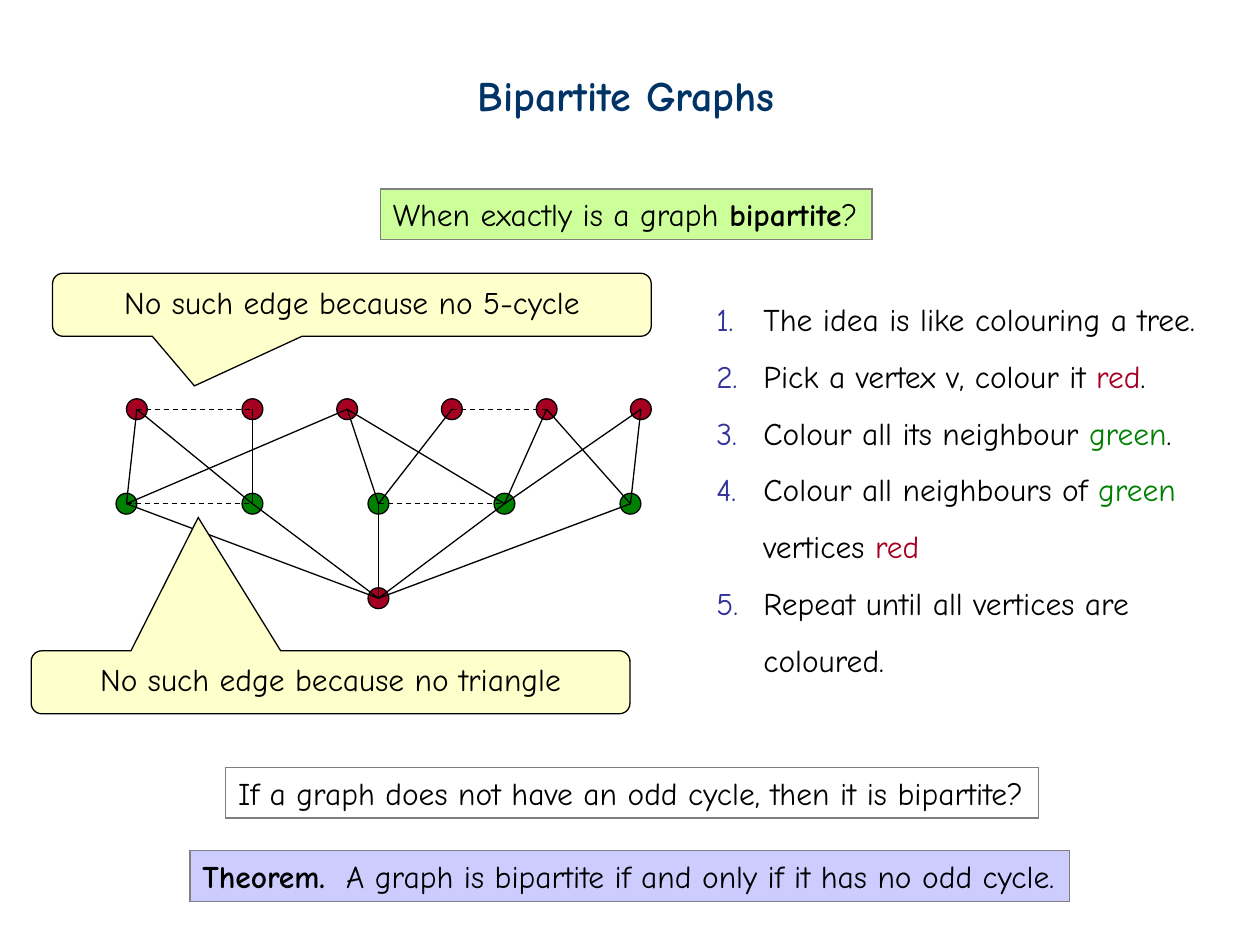
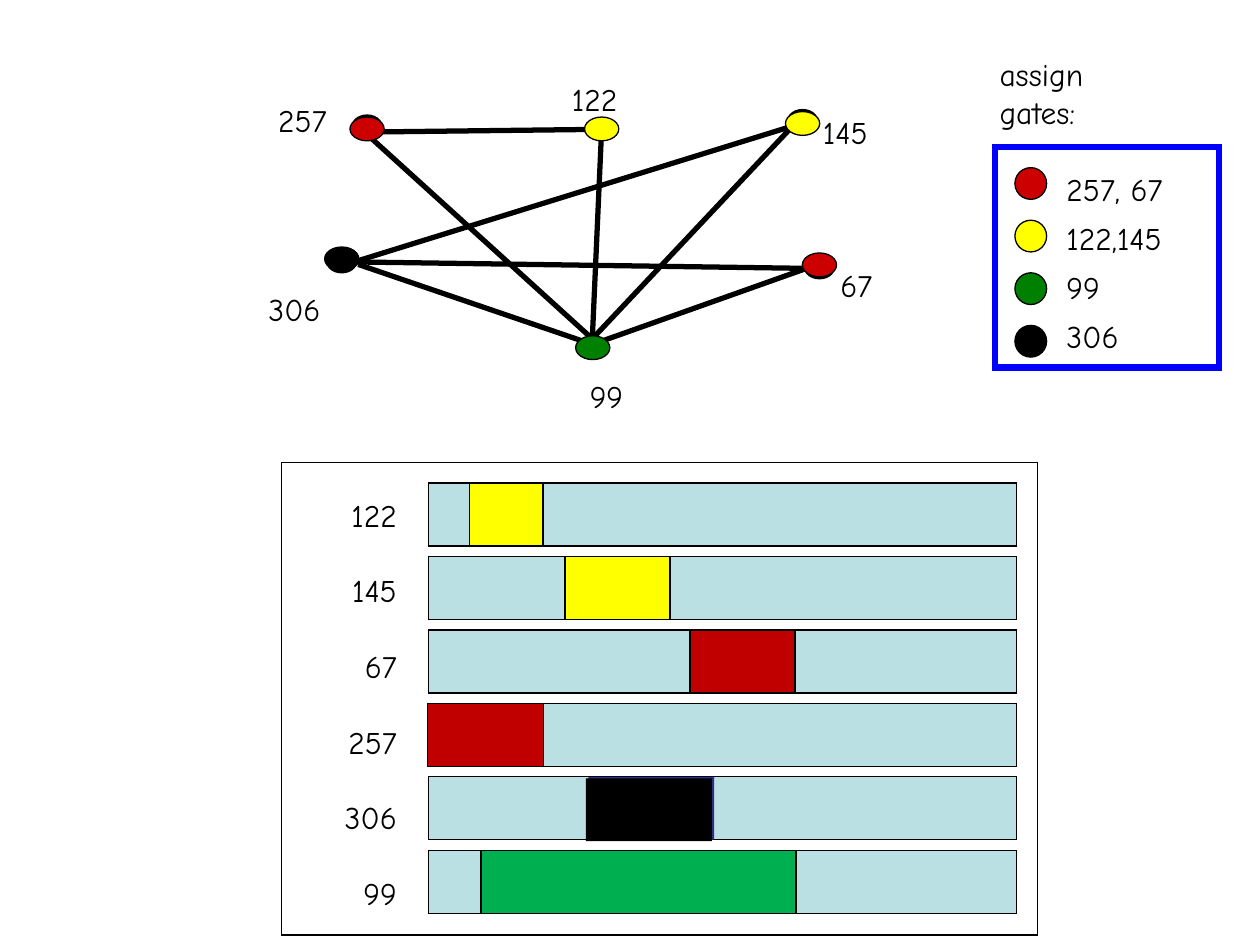
from itertools import product

from lxml import etree
from pptx import Presentation
from pptx.dml.color import RGBColor
from pptx.enum.dml import MSO_LINE
from pptx.enum.shapes import MSO_CONNECTOR, MSO_SHAPE
from pptx.enum.text import MSO_ANCHOR, PP_ALIGN
from pptx.oxml.ns import qn
from pptx.util import Cm, Pt

RECTANGLE = MSO_SHAPE.RECTANGLE
ELLIPSE = MSO_SHAPE.OVAL
CALLOUT = MSO_SHAPE.ROUNDED_RECTANGULAR_CALLOUT
STRAIGHT = MSO_CONNECTOR.STRAIGHT
DASH = MSO_LINE.DASH
TOP = MSO_ANCHOR.TOP
LEFT, CENTER, RIGHT = PP_ALIGN.LEFT, PP_ALIGN.CENTER, PP_ALIGN.RIGHT

BLACK, GREY, NAVY, INDIGO = "000000", "808080", "003366", "333399"
CRIMSON, GREEN, RED, YELLOW = "A50021", "008000", "CC0000", "FFFF00"
BLUE, CREAM, LIME, LAVENDER = "0000FF", "FFFFCC", "CCFF99", "CCCCFF"
BAR_BLUE, SLOT_RED, SLOT_GREEN, SLOT_BLUE = "BBE0E3", "C00000", "00B050", "2D2D8A"

BODY_FONT = {"name": "Comic Neue", "size": Pt(18), "bold": False}
LINE_PITCH = Pt(21.6)


def color(value):
    return RGBColor.from_string(value)


def apply(target, values):
    for name, value in values.items():
        setattr(target, name, value)


def add_box(slide, kind, box, fill=None, line=BLACK, weight=0.75):
    shape = slide.shapes.add_shape(kind, *map(Cm, box))
    shape.shadow.inherit = False
    if fill:
        shape.fill.solid()
        shape.fill.fore_color.rgb = color(fill)
    else:
        shape.fill.background()
    if line:
        shape.line.color.rgb = color(line)
        shape.line.width = Pt(weight)
        outline = shape._element.spPr.find(qn("a:ln"))
        etree.SubElement(outline, qn("a:miter"), lim="800000")
    else:
        shape.line.fill.background()
    return shape


def add_dot(slide, x, y, width, height, fill, weight=0.75):
    box = (x - width / 2, y - height / 2, width, height)
    add_box(slide, ELLIPSE, box, fill, weight=weight)


def add_edge(slide, start, end, weight=0.75, dash=None):
    edge = slide.shapes.add_connector(STRAIGHT, *map(Cm, (*start, *end)))
    edge.line.color.rgb = color(BLACK)
    edge.line.width = Pt(weight)
    if dash:
        edge.line.dash_style = dash
    etree.SubElement(edge._element.spPr, qn("a:effectLst"))


def write(shape, paragraphs, wrap=False, font=None, later=None, **paragraph_format):
    frame = shape.text_frame
    apply(frame, {"word_wrap": wrap, "vertical_anchor": TOP})
    for index, runs in enumerate(paragraphs):
        paragraph = frame.add_paragraph() if index else frame.paragraphs[0]
        apply(paragraph, {"alignment": LEFT, **paragraph_format})
        if index:
            apply(paragraph, later or {})
        for text, tint, bold in runs:
            run = paragraph.add_run()
            run.text = text
            apply(run.font, {**BODY_FONT, "bold": bold, **(font or {})})
            run.font.color.rgb = color(tint)
    return frame


def plain(text, tint=BLACK, bold=False):
    return (text, tint, bold)


def add_text(slide, box, paragraphs, **options):
    return write(slide.shapes.add_textbox(*map(Cm, box)), paragraphs, **options)


def add_title(slide, box, text):
    add_text(slide, box, [[plain(text, NAVY, True)]], font={"size": Pt(24)})


def add_statement(slide, box, fill, runs):
    return write(add_box(slide, RECTANGLE, box, fill, GREY), [runs])


def add_callout(slide, box, text, tip):
    callout = add_box(slide, CALLOUT, box, CREAM)
    for index, value in enumerate((*tip, 0.167)):
        callout.adjustments[index] = value
    write(callout, [[plain(text)]], wrap=True, alignment=CENTER)


def add_bipartite_graph(slide, box):
    left, top, width, height = box
    row_columns = {
        "upper": (0, CRIMSON, (0.21, 2.54, 4.45, 6.56, 8.47, 10.37)),
        "middle": (0.5, GREEN, [width * step / 4 for step in range(5)]),
        "root": (1, CRIMSON, (width / 2,)),
    }
    vertices = {}
    for row, (depth, tint, columns) in row_columns.items():
        vertices[row] = [(left + x, top + height * depth) for x in columns]
        for x, y in vertices[row]:
            add_dot(slide, x, y, 0.42, 0.42, tint)
    upper, middle, root = vertices.values()
    for vertex in middle:
        add_edge(slide, vertex, root[0])
    neighbours = ((0, 2), (0, 1), (2, 3), (2, 4, 5), (4, 5))
    for vertex, reached in zip(middle, neighbours):
        for index in reached:
            add_edge(slide, vertex, upper[index])
    for row, start in product((upper, middle), (0, 2)):
        first = 3 if row is upper and start else start
        add_edge(slide, row[first], row[first + 1], dash=DASH)


def number_paragraphs(frame, indent):
    for paragraph in frame.paragraphs:
        properties = paragraph._p.get_or_add_pPr()
        properties.set("marL", str(Cm(indent)))
        properties.set("indent", str(-Cm(indent)))
        tint = etree.SubElement(properties, qn("a:buClr"))
        etree.SubElement(tint, qn("a:srgbClr"), val=INDIGO)
        etree.SubElement(properties, qn("a:buAutoNum"), type="arabicPeriod")


def add_colouring_steps(slide, box):
    red, green = plain("red", CRIMSON), plain("green", GREEN)
    steps = [
        [plain("The idea is like colouring a tree.")],
        [plain("Pick a vertex v, colour it "), red, plain(".")],
        [plain("Colour all its neighbour "), green, plain(".")],
        [plain("Colour all neighbours of "), green, plain(" vertices "), red],
        [plain("Repeat until all vertices are coloured.")],
    ]
    frame = add_text(slide, box, steps, wrap=True, later={"line_spacing": 1.5})
    number_paragraphs(frame, 0.95)


def add_theorem(slide, box):
    runs = [plain("Theorem.", bold=True),
            plain("\tA graph is bipartite if and only if it has no odd cycle.")]
    frame = add_statement(slide, box, LAVENDER, runs)
    properties = frame.paragraphs[0]._p.get_or_add_pPr()
    tabs = etree.SubElement(properties, qn("a:tabLst"))
    etree.SubElement(tabs, qn("a:tab"), pos=str(Cm(2.9)), algn="l")


def build_bipartite_slide(slide):
    add_title(slide, (9.38, 1.27, 6.53, 1.27), "Bipartite Graphs")
    add_statement(slide, (7.67, 3.81, 9.91, 1.02), LIME,
                  [plain("When exactly is a graph "), plain("bipartite", bold=True), plain("?")])
    add_statement(slide, (4.55, 15.47, 16.38, 1.02), None,
                  [plain("If a graph does not have an odd cycle, then it is bipartite?")])
    add_bipartite_graph(slide, (2.55, 8.25, 10.16, 3.81))
    add_colouring_steps(slide, (14.19, 5.93, 10.59, 7.87))
    add_callout(slide, (0.63, 13.12, 12.07, 1.27),
                "No such edge because no triangle", (-0.221, -2.615))
    add_theorem(slide, (3.83, 17.15, 17.73, 1.02))
    add_callout(slide, (1.06, 5.51, 12.07, 1.27),
                "No such edge because no 5-cycle", (-0.263, 1.288))


def add_gate_legend(slide, box):
    left, top, width, height = box
    gates = (("257, 67", RED), ("122,145", YELLOW), ("99", GREEN), ("306", BLACK))
    for index, (_, tint) in enumerate(gates):
        add_dot(slide, left + 0.73, top + 0.74 + 1.06 * index, 0.64, 0.64, tint)
    add_text(slide, (left + 1.2, top + 0.34, 2.44, 3.99),
             [[plain(flights)] for flights, _ in gates], later={"line_spacing": 1.3})
    add_box(slide, RECTANGLE, box, line=BLUE, weight=3.5)
    add_text(slide, (left - 0.15, top - 1.97, 4.37, 1.78),
             [[plain("assign")], [plain("gates:")]], wrap=True)


def add_conflict_graph(slide, box):
    left, top, width, height = box
    flights = (
        ("257", RED, (2.24, 1.13), -0.06, (0.2, 0.44, 1.52)),
        ("67", RED, (11.36, 3.87), 0.06, (11.53, 3.76, 1.2)),
        ("122", YELLOW, (6.97, 1.13), 0, (6.12, 0.02, 1.46)),
        ("145", YELLOW, (11.02, 1.02), -0.06, (11.18, 0.68, 1.46)),
        ("306", BLACK, (1.73, 3.75), 0.06, (0, 4.26, 1.6)),
        ("99", GREEN, (6.79, 5.54), 0, (6.48, 6.01, 1.23)),
    )
    conflicts = (
        ((1.98, 3.81), (10.82, 1.07)),
        ((1.98, 3.81), (11.1, 3.94)),
        ((2.41, 1.19), (6.71, 1.14)),
        ((2.24, 1.24), (6.78, 5.36)),
        ((6.78, 5.36), (6.96, 1.32)),
        ((6.78, 5.36), (10.82, 1.07)),
        ((6.96, 5.41), (11.1, 3.94)),
        ((2.06, 3.86), (6.6, 5.41)),
    )
    for label, _, (x, y), rim_shift, (label_x, label_y, label_width) in flights:
        add_text(slide, (left + label_x, top + label_y, label_width, 1.02), [[plain(label)]])
        if rim_shift:
            add_dot(slide, left + x, top + y + rim_shift, 0.51, 0.36, BLACK, weight=3)
    for ends in conflicts:
        add_edge(slide, *((left + x, top + y) for x, y in ends), weight=3)
    for _, tint, (x, y), _, _ in flights:
        add_dot(slide, left + x, top + y, 0.69, 0.48, tint)


def add_schedule(slide, box):
    left, top, width, height = box
    flights = ("122", "145", "67", "257", "306", "99")
    slots = (
        ("122", 0.83, 1.48, YELLOW, BLACK),
        ("145", 2.75, 2.12, YELLOW, BLACK),
        ("67", 5.27, 2.12, SLOT_RED, BLACK),
        ("257", -0.02, 2.34, SLOT_RED, BLACK),
        ("306", 3.22, 2.54, SLOT_BLUE, None),
        ("306", 3.17, 2.54, BLACK, None),
        ("99", 1.06, 6.35, SLOT_GREEN, BLACK),
    )
    bar_left, bar_width, bar_height = left + 2.97, 11.86, 1.27
    bar_tops = {flight: top + 0.42 + 1.48 * row for row, flight in enumerate(flights)}
    add_text(slide, (left + 0.98, top + 0.55, 1.6, 8.64),
             [[plain(flight)] for flight in flights], wrap=True,
             alignment=RIGHT, later={"space_before": LINE_PITCH})
    for bar_top in bar_tops.values():
        add_box(slide, RECTANGLE, (bar_left, bar_top, bar_width, bar_height), BAR_BLUE)
    add_box(slide, RECTANGLE, box)
    for flight, start, length, fill, line in slots:
        drop = 0.03 if fill == BLACK else 0
        slot = (bar_left + start, bar_tops[flight] + drop, length, bar_height)
        add_box(slide, RECTANGLE, slot, fill, line)


def build_gates_slide(slide):
    add_gate_legend(slide, (20.05, 2.96, 4.52, 4.45))
    add_conflict_graph(slide, (5.16, 1.47, 12.67, 7.01))
    add_schedule(slide, (5.67, 9.32, 15.24, 9.53))


def main():
    presentation = Presentation()
    apply(presentation, {"slide_width": Cm(25.4), "slide_height": Cm(19.05)})
    blank = presentation.slide_layouts[6]
    for build in (build_bipartite_slide, build_gates_slide):
        build(presentation.slides.add_slide(blank))
    presentation.save("out.pptx")


if __name__ == "__main__":
    main()
